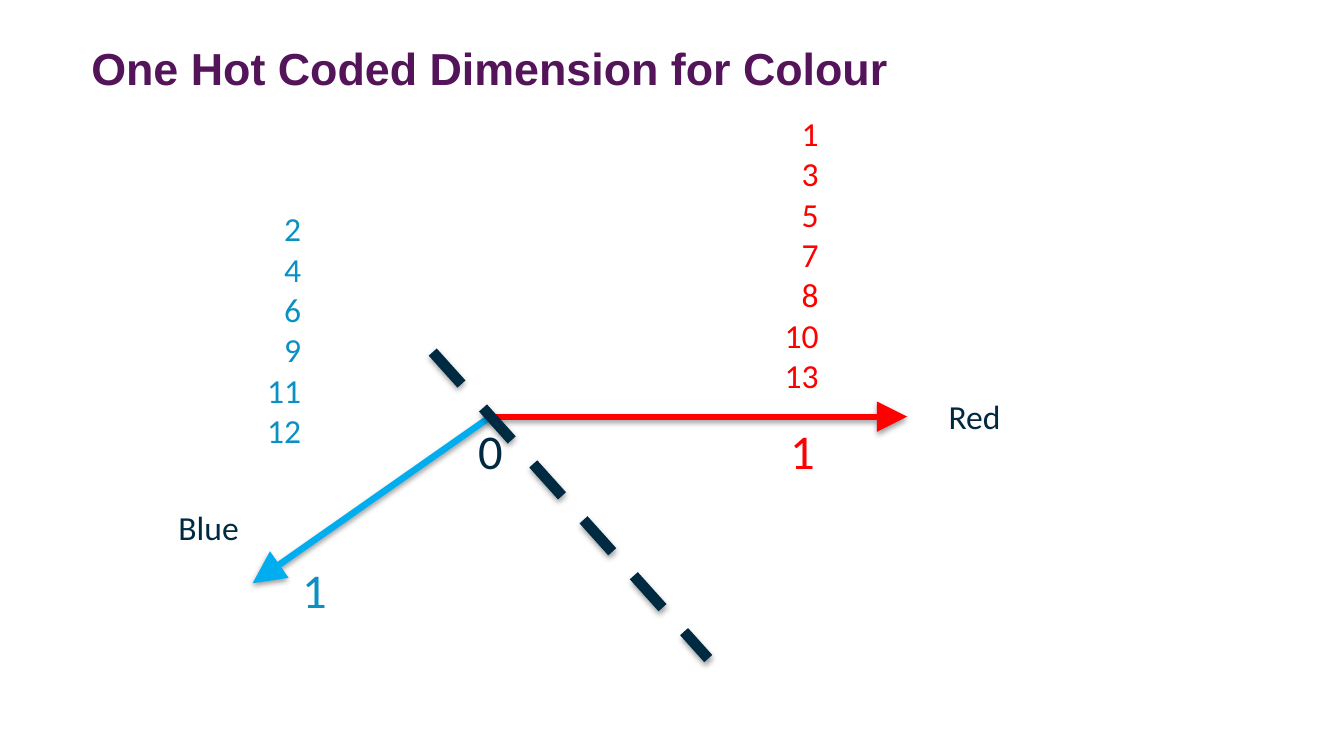
from lxml import etree
from pptx import Presentation
from pptx import util as u
from pptx.dml.color import RGBColor
from pptx.enum import dml, shapes, text
from pptx.oxml import parse_xml
from pptx.oxml.ns import nsdecls, qn

NAVY, RED, BLUE, SKY, PURPLE = "002A41", "FF0000", "0A91C3", "00AEEF", "54145A"
ORIGIN = (3.65, 3.1)

TITLE = "One Hot Coded Dimension for Colour"
# text, (left, top, width, height), size, colour
AXIS_LABELS = [
    ("Red", (6.96, 2.9, 0.59, 0.4), 18, NAVY),
    ("Blue", (1.23, 3.72, 0.66, 0.4), 18, NAVY),
    ("0", (3.46, 3.08, 0.39, 0.54), 26, NAVY),
    ("1", (5.78, 3.08, 0.39, 0.54), 26, RED),
    ("1", (2.15, 4.12, 0.39, 0.54), 26, BLUE),
]
ROW_LISTS = [
    ([1, 3, 5, 7, 8, 10, 13], (5.73, 0.79, 0.46, 2.22), RED),
    ([2, 4, 6, 9, 11, 12], (1.88, 1.5, 0.46, 1.92), BLUE),
]
# start, end, colour, width
AXES = [
    (ORIGIN, (1.88, 4.34), SKY, 3.5),
    (ORIGIN, (6.75, 3.1), RED, 3.25),
]
BOUNDARY = ((3.22, 2.62), (5.27, 4.9), NAVY, 5.75)

SHADOW = (
    f'<a:effectLst {nsdecls("a")}>'
    f'<a:outerShdw blurRad="{u.Pt(3.1)}" dist="{u.Pt(1.6)}" dir="5400000" rotWithShape="0">'
    '<a:srgbClr val="000000"><a:alpha val="38000"/></a:srgbClr>'
    '</a:outerShdw></a:effectLst>'
)


def rgb(colour):
    return RGBColor.from_string(colour)


def add_text(page, content, area, size, colour, font="Calibri", bold=False,
             align=text.PP_ALIGN.LEFT, wrap=False, inset=None):
    """Add a text box with one paragraph for each line of content."""
    box = page.shapes.add_textbox(*map(u.Inches, area))
    frame = box.text_frame
    frame.word_wrap = wrap
    if inset is not None:
        frame.margin_left = frame.margin_right = u.Inches(inset)
        frame.margin_top = frame.margin_bottom = u.Inches(inset)
    frame.text = content
    for para in frame.paragraphs:
        para.alignment = align
        for span in para.runs:
            span.font.name = font
            span.font.size = u.Pt(size)
            span.font.bold = bold
            span.font.color.rgb = rgb(colour)


def add_line(page, start, end, colour, width, arrow=False, dashed=False):
    line = page.shapes.add_connector(
        shapes.MSO_CONNECTOR.STRAIGHT, *map(u.Inches, start + end))
    line.line.color.rgb = rgb(colour)
    line.line.width = u.Pt(width)
    if dashed:
        line.line.dash_style = dml.MSO_LINE.DASH
    if arrow:
        etree.SubElement(line.line._get_or_add_ln(), qn("a:tailEnd"),
                         type="triangle", w="lg", len="lg")
    line._element.spPr.append(parse_xml(SHADOW))


def main():
    deck = Presentation()
    deck.slide_width = u.Inches(10)
    deck.slide_height = deck.slide_width * 9 // 16
    page = deck.slides.add_slide(deck.slide_layouts[6])

    add_text(page, TITLE, (0.68, 0.3, 8.64, 0.94), 24, PURPLE,
             font="Arial", bold=True, wrap=True, inset=0)
    for label in AXIS_LABELS[:2]:
        add_text(page, *label)
    for rows, area, colour in ROW_LISTS:
        add_text(page, "\n".join(map(str, rows)), area, 18, colour,
                 align=text.PP_ALIGN.RIGHT)
    for axis in AXES:
        add_line(page, *axis, arrow=True)
    for label in AXIS_LABELS[2:]:
        add_text(page, *label)
    add_line(page, *BOUNDARY, dashed=True)

    deck.save("out.pptx")


if __name__ == "__main__":
    main()
